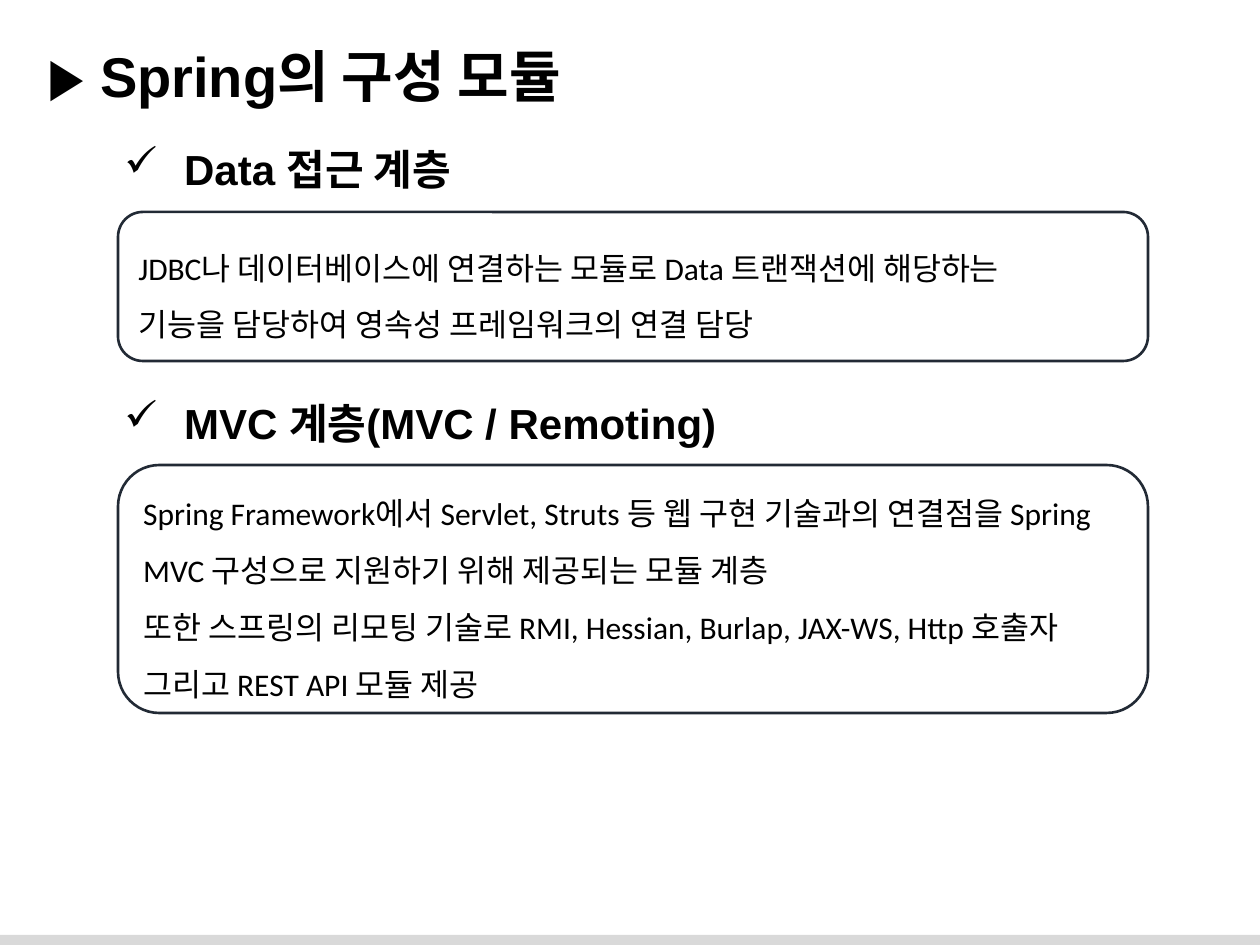
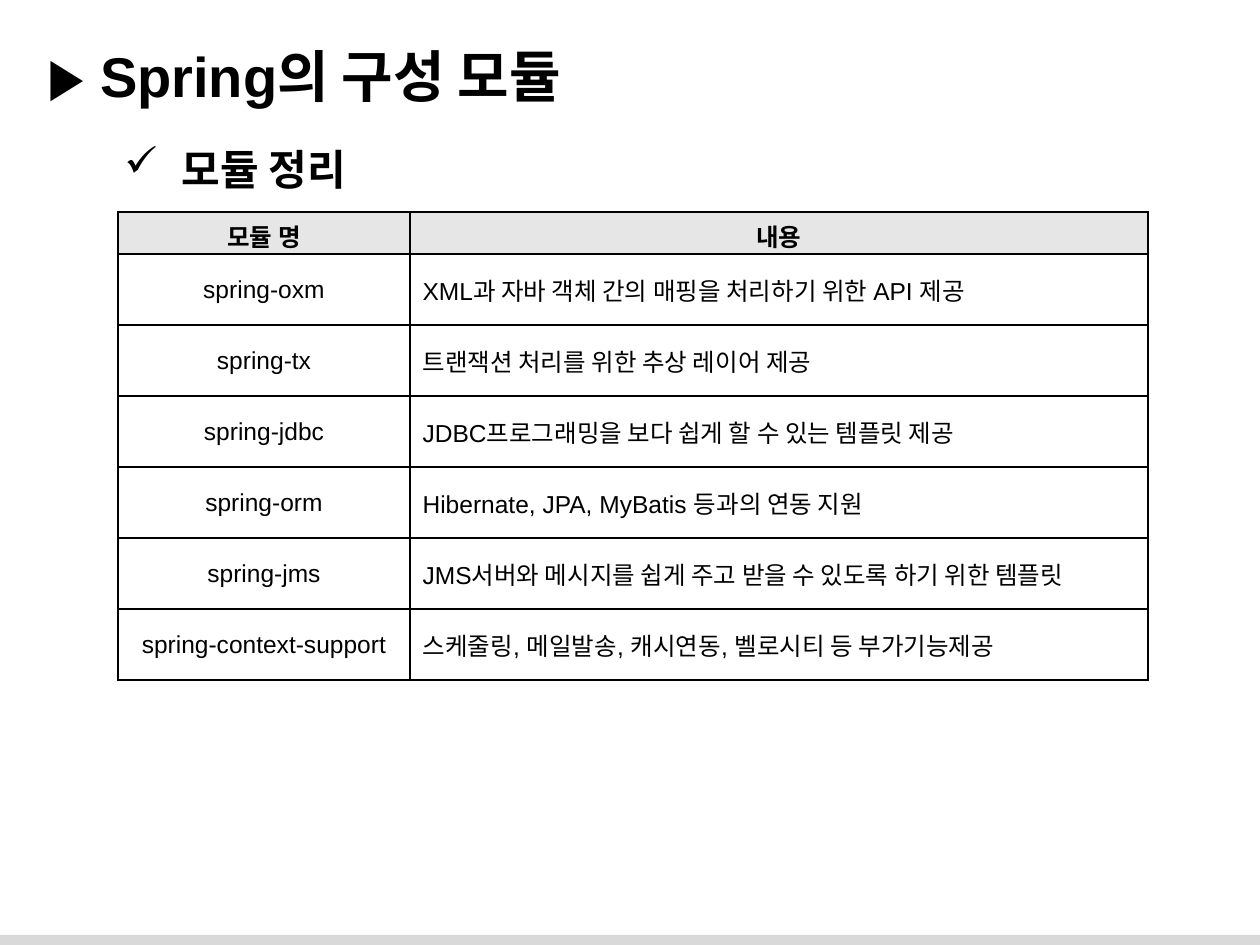
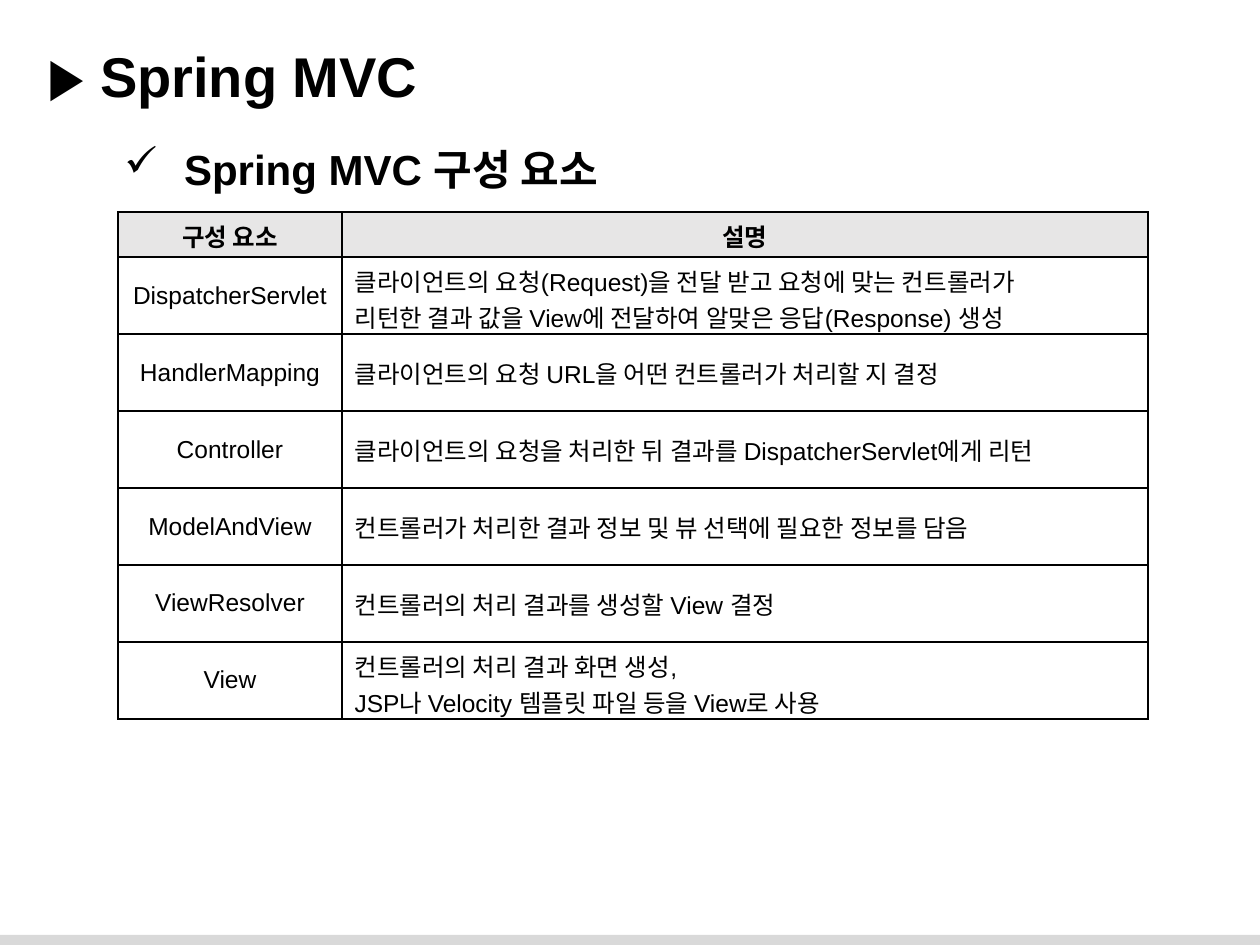
from lxml.etree import SubElement
from pptx import Presentation
from pptx.dml.color import RGBColor
from pptx.enum.shapes import MSO_SHAPE
from pptx.enum.text import MSO_ANCHOR, MSO_AUTO_SIZE, PP_ALIGN
from pptx.oxml.ns import qn
from pptx.util import Emu, Pt

PX_PER_INCH = 126
SLIDE_WIDTH, SLIDE_HEIGHT = 1260, 945
CONTENT_LEFT, CONTENT_WIDTH = 118, 1030
FIRST_HEADING_TOP, HEADING_HEIGHT = 137, 63
TABLE_TOP = 212
INSET = 13
CHECK_INDENT = 48

BLACK, OUTLINE, HEADER_GRAY, FOOTER_GRAY = "000000", "222A35", "E7E6E6", "D9D9D9"

# Text formats
TITLE = {"name": "Arial", "size": Pt(32), "bold": True}
HEADING = {"name": "Arial", "size": Pt(24), "bold": True}
DESCRIPTION = {"name": "Calibri", "size": Pt(18), "bold": False}
TABLE_HEADER = {"name": "Arial", "size": Pt(14), "bold": True}
TABLE_BODY = {"name": "Arial", "size": Pt(14), "bold": False}

# Table contents; each line of a description is its own paragraph
MODULES = [
    ("모듈 명", "내용"),
    ("spring-oxm", "XML과 자바 객체 간의 매핑을 처리하기 위한 API 제공"),
    ("spring-tx", "트랜잭션 처리를 위한 추상 레이어 제공"),
    ("spring-jdbc", "JDBC프로그래밍을 보다 쉽게 할 수 있는 템플릿 제공"),
    ("spring-orm", "Hibernate, JPA, MyBatis 등과의 연동 지원"),
    ("spring-jms", "JMS서버와 메시지를 쉽게 주고 받을 수 있도록 하기 위한 템플릿"),
    ("spring-context-support", "스케줄링, 메일발송, 캐시연동, 벨로시티 등 부가기능제공"),
]
MVC_PARTS = [
    ("구성 요소", "설명"),
    ("DispatcherServlet",
     "클라이언트의 요청(Request)을 전달 받고 요청에 맞는 컨트롤러가\n"
     "리턴한 결과 값을 View에 전달하여 알맞은 응답(Response) 생성"),
    ("HandlerMapping", "클라이언트의 요청 URL을 어떤 컨트롤러가 처리할 지 결정"),
    ("Controller", "클라이언트의 요청을 처리한 뒤 결과를 DispatcherServlet에게 리턴"),
    ("ModelAndView", "컨트롤러가 처리한 결과 정보 및 뷰 선택에 필요한 정보를 담음"),
    ("ViewResolver", "컨트롤러의 처리 결과를 생성할 View 결정"),
    ("View", "컨트롤러의 처리 결과 화면 생성,\nJSP나 Velocity 템플릿 파일 등을 View로 사용"),
]


def px(length):
    return Emu(round(length * 914400 / PX_PER_INCH))


def color(hex_value):
    return RGBColor.from_string(hex_value)


def set_all(target, values):
    for key, value in values.items():
        setattr(target, key, value)


def write(frame, text, font_format, **paragraph_format):
    frame.text = text
    for paragraph in frame.paragraphs:
        set_all(paragraph, paragraph_format)
        for run in paragraph.runs:
            set_all(run.font, font_format)
            run.font.color.rgb = color(BLACK)


def add_text(slide, box, text, font_format, wrap):
    frame = slide.shapes.add_textbox(*map(px, box)).text_frame
    set_all(frame, {"word_wrap": wrap, "auto_size": MSO_AUTO_SIZE.SHAPE_TO_FIT_TEXT})
    write(frame, text, font_format)
    return frame


def add_heading(slide, top, width, text):
    frame = add_text(slide, (112, top, width, HEADING_HEIGHT), text, HEADING, False)
    properties = frame.paragraphs[0]._p.get_or_add_pPr()
    properties.set("marL", str(px(CHECK_INDENT)))
    properties.set("indent", str(-px(CHECK_INDENT)))
    SubElement(properties, qn("a:buChar"), char="✓")


def add_description(slide, top, height, text):
    panel = slide.shapes.add_shape(
        MSO_SHAPE.ROUNDED_RECTANGLE,
        *map(px, (CONTENT_LEFT, top, CONTENT_WIDTH, height)))
    panel.shadow.inherit = False
    panel.fill.background()
    panel.line.color.rgb = color(OUTLINE)
    panel.line.width = Pt(1.5)
    frame = panel.text_frame
    set_all(frame, {"word_wrap": True, "vertical_anchor": MSO_ANCHOR.MIDDLE})
    set_all(frame, {f"margin_{side}": px(INSET)
                    for side in ("left", "right", "top", "bottom")})
    write(frame, text, DESCRIPTION, alignment=PP_ALIGN.LEFT, line_spacing=1.5)


def add_borders(cell):
    properties = cell._tc.get_or_add_tcPr()
    for side in ("lnL", "lnR", "lnT", "lnB"):
        border = SubElement(properties, qn(f"a:{side}"), w=str(Pt(1)))
        fill = SubElement(border, qn("a:solidFill"))
        SubElement(fill, qn("a:srgbClr"), val=BLACK)


def add_glossary(slide, rows, name_width, header_height, row_height):
    heights = [header_height] + [row_height] * (len(rows) - 1)
    table = slide.shapes.add_table(
        len(rows), 2,
        *map(px, (CONTENT_LEFT, TABLE_TOP, CONTENT_WIDTH, sum(heights)))).table
    set_all(table, {"first_row": False, "horz_banding": False})
    for column, width in zip(table.columns, (name_width, CONTENT_WIDTH - name_width)):
        column.width = px(width)
    for row_index, (texts, height) in enumerate(zip(rows, heights)):
        table.rows[row_index].height = px(height)
        is_header = row_index == 0
        for column_index, text in enumerate(texts):
            cell = table.cell(row_index, column_index)
            cell.vertical_anchor = MSO_ANCHOR.MIDDLE
            add_borders(cell)
            if is_header:
                cell.fill.solid()
                cell.fill.fore_color.rgb = color(HEADER_GRAY)
            else:
                cell.fill.background()
            centered = is_header or column_index == 0
            write(cell.text_frame, text, TABLE_HEADER if is_header else TABLE_BODY,
                  alignment=PP_ALIGN.CENTER if centered else PP_ALIGN.LEFT)


def add_slide(deck, title):
    slide = deck.slides.add_slide(deck.slide_layouts[6])
    footer = slide.shapes.add_shape(
        MSO_SHAPE.RECTANGLE, *map(px, (0, 935, SLIDE_WIDTH, 10)))
    footer.shadow.inherit = False
    footer.fill.solid()
    footer.fill.fore_color.rgb = color(FOOTER_GRAY)
    footer.line.fill.background()
    add_text(slide, (35, 35, 1191, 81), f"▶ {title}", TITLE, True)
    return slide


def main():
    deck = Presentation()
    set_all(deck, {"slide_width": px(SLIDE_WIDTH), "slide_height": px(SLIDE_HEIGHT)})

    # Data access and MVC layers
    layers = add_slide(deck, "Spring의 구성 모듈")
    add_heading(layers, FIRST_HEADING_TOP, 382, " Data 접근 계층")
    add_description(
        layers, 212, 149,
        "JDBC나 데이터베이스에 연결하는 모듈로 Data 트랜잭션에 해당하는\n"
        "기능을 담당하여 영속성 프레임워크의 연결 담당")
    add_heading(layers, 391, 654, " MVC 계층(MVC / Remoting)")
    add_description(
        layers, 465, 248,
        "Spring Framework에서 Servlet, Struts 등 웹 구현 기술과의 연결점을 "
        "Spring MVC 구성으로 지원하기 위해 제공되는 모듈 계층\n"
        "또한 스프링의 리모팅 기술로 RMI, Hessian, Burlap, JAX-WS, Http 호출자 "
        "그리고 REST API 모듈 제공")

    # Module summary
    modules = add_slide(deck, "Spring의 구성 모듈")
    add_heading(modules, FIRST_HEADING_TOP, 273, " 모듈 정리")
    add_glossary(modules, MODULES, 292, 42, 71)

    # MVC components
    components = add_slide(deck, "Spring MVC")
    add_heading(components, FIRST_HEADING_TOP, 530, " Spring MVC 구성 요소")
    add_glossary(components, MVC_PARTS, 224, 45, 77)

    deck.save("out.pptx")


if __name__ == "__main__":
    main()
